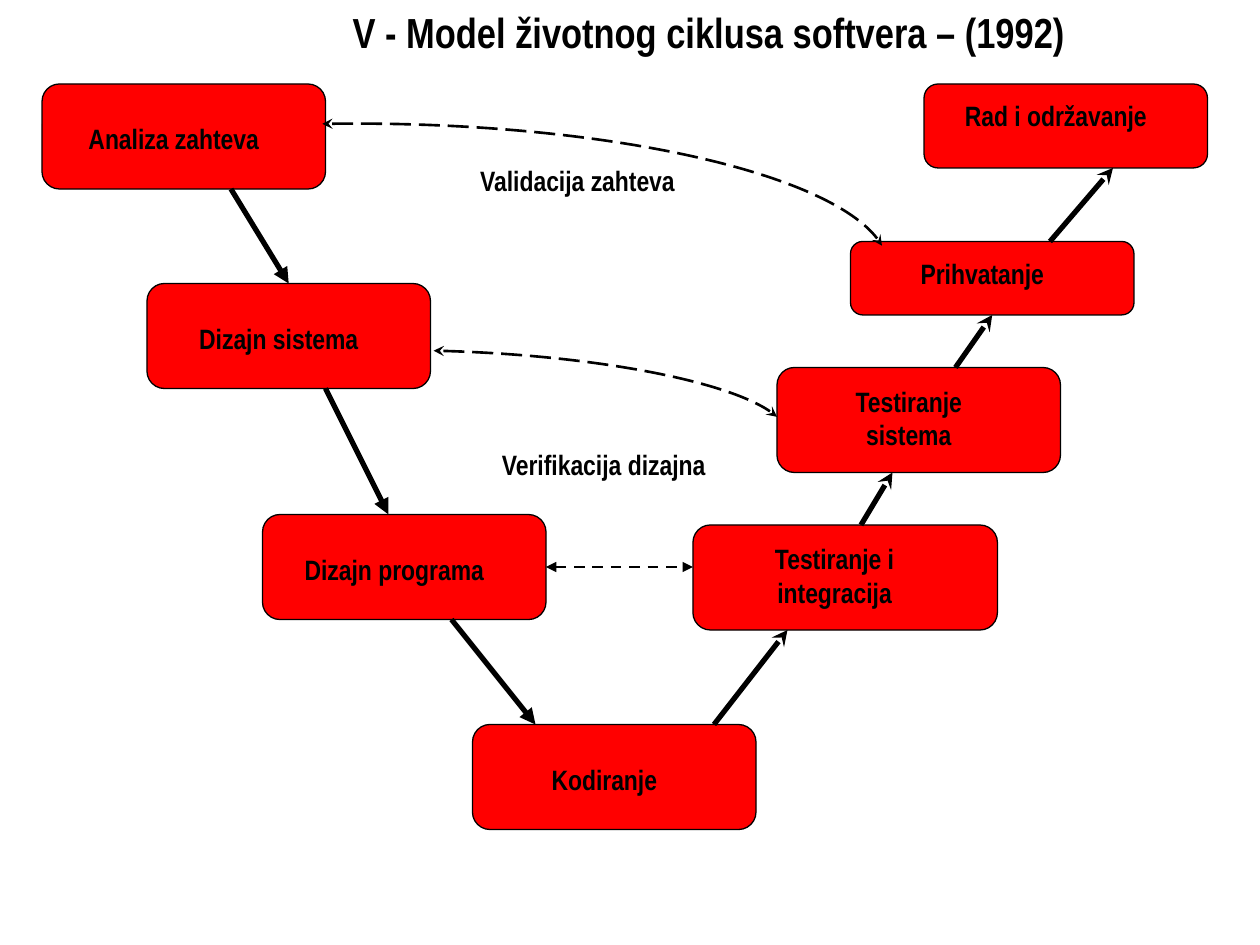
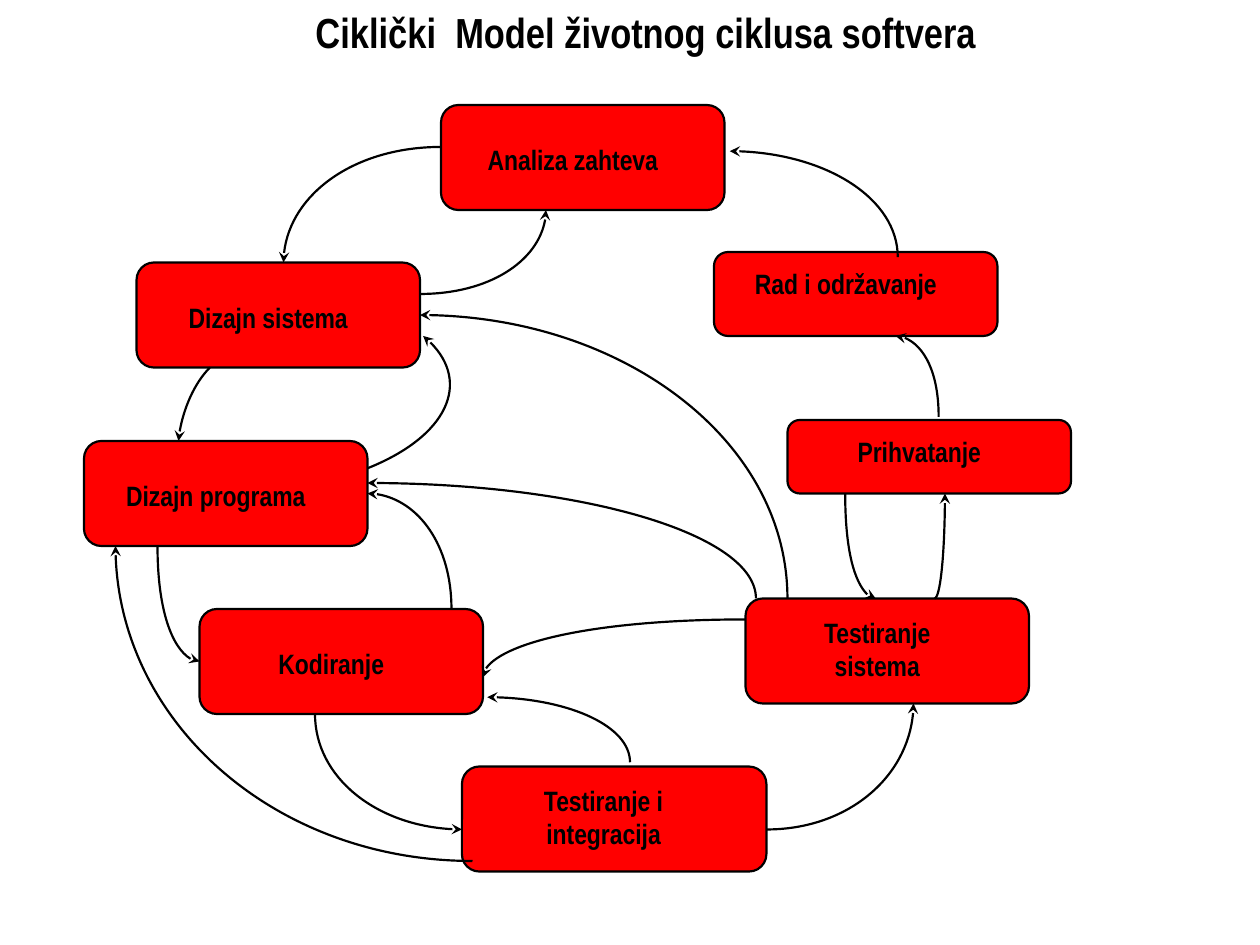
"""Build two slides on software life cycle models: the V model and the cyclic model."""
from collections import namedtuple
from dataclasses import dataclass
from math import dist

from lxml.etree import SubElement
from pptx import Presentation
from pptx.dml.color import RGBColor
from pptx.enum.dml import MSO_LINE
from pptx.enum.shapes import MSO_CONNECTOR, MSO_SHAPE
from pptx.enum.text import MSO_ANCHOR, MSO_AUTO_SIZE, PP_ALIGN
from pptx.oxml.ns import qn
from pptx.util import Cm, Pt


@dataclass(frozen=True)
class Theme:
    ink: RGBColor = RGBColor.from_string("000000")
    box: RGBColor = RGBColor.from_string("FF0000")
    font: str = "Arial Narrow"
    title_size: int = 24
    label_size: int = 16


Stage = namedtuple("Stage", "width height text_drop lines")
ArrowStyle = namedtuple("ArrowStyle", "width dash head tail")

THEME = Theme()
GRID = Cm(25.4) / 120
LINE_HEIGHT = 4
ROUNDNESS = 0.55

SINGLE = Stage(27, 10, 3, 1)
DOUBLE = SINGLE._replace(text_drop=1, lines=2)
LOW = SINGLE._replace(height=8, text_drop=0.8)
STAGES = {
    "Analiza zahteva": SINGLE,
    "Dizajn sistema": SINGLE,
    "Dizajn programa": SINGLE,
    "Kodiranje": SINGLE,
    "Testiranje i integracija": DOUBLE._replace(width=29),
    "Testiranje sistema": DOUBLE,
    "Prihvatanje": LOW._replace(height=7),
    "Rad i održavanje": LOW,
}
TURNING_STAGE = list(STAGES).index("Kodiranje")

FEEDBACK = ArrowStyle(1.5, MSO_LINE.LONG_DASH, "stealth", "stealth")
CHECK = ArrowStyle(1.5, MSO_LINE.DASH, "triangle", "triangle")
DESCENT = ArrowStyle(3, MSO_LINE.SOLID, "none", "triangle")
ASCENT = DESCENT._replace(tail="stealth")
CYCLE = ArrowStyle(1.25, MSO_LINE.SOLID, "none", "stealth")

V_MODEL = {
    "title": "V - Model životnog ciklusa softvera – (1992)",
    "title_left": 17,
    "outline": 0.75,
    "corners": [(4, 8), (14, 27), (25, 49), (45, 69),
                (66, 50), (74, 35), (81, 23), (88, 8)],
    "labels": {"Verifikacija dizajna": (45, 42, 25), "Validacija zahteva": (44, 15, 22)},
    "steps": [(22, 27), (31, 37), (43, 51), (68, 75), (82, 85), (91, 95), (100, 106)],
    "checks": [((52, 54), (66, 54))],
    "curve_style": FEEDBACK,
    "sideways": [],
    "upright": [],
    "bent": [((30.7, 11.8), (77, 11), (84, 23.4)), ((41.3, 33.4), (68, 34), (74, 39.7))],
}
CYCLIC_MODEL = {
    "title": "Ciklički  Model životnog ciklusa softvera",
    "title_left": 11,
    "outline": 1.25,
    "corners": [(42, 10), (13, 25), (8, 42), (19, 58),
                (44, 73), (71, 57), (75, 40), (68, 24)],
    "labels": {},
    "steps": [],
    "checks": [],
    "curve_style": CYCLE,
    "sideways": [((42, 14), (27, 25)), ((73, 79), (87, 67)), ((40, 28), (52, 20)),
                 ((71, 59), (46, 64.5)), ((45, 82), (11, 52)), ((89, 57), (90, 47))],
    "upright": [((85.5, 24.5), (69.5, 14.4)), ((15, 52), (19, 63)), ((30, 68), (44, 79)),
                ((89.4, 39.7), (85.3, 32)), ((43, 58), (35, 47)), ((60, 72.6), (46.4, 66.4)),
                ((72, 57), (35, 46)), ((75, 57), (40, 30)), ((80.5, 47), (83.4, 57))],
    "bent": [((20, 35), (17.3, 37.7), (17, 42)), ((35, 44.6), (49, 39), (40.3, 32))],
}


def on_grid(*values):
    return tuple(round(value * GRID) for value in values)


def write_text(text_frame, text, size, anchor=MSO_ANCHOR.TOP):
    text_frame.word_wrap = True
    text_frame.auto_size = MSO_AUTO_SIZE.NONE
    text_frame.vertical_anchor = anchor
    paragraph = text_frame.paragraphs[0]
    paragraph.alignment = PP_ALIGN.CENTER
    run = paragraph.add_run()
    run.text = text
    run.font.name = THEME.font
    run.font.size = Pt(size)
    run.font.bold = True
    run.font.color.rgb = THEME.ink


presentation = Presentation()
presentation.slide_width = Cm(25.4)
presentation.slide_height = Cm(19.05)

for content in (V_MODEL, CYCLIC_MODEL):
    slide = presentation.slides.add_slide(presentation.slide_layouts[0])
    subtitle = slide.placeholders[1].element
    subtitle.getparent().remove(subtitle)
    title = slide.shapes.title
    title.left, title.top, title.width, title.height = on_grid(content["title_left"], 0, 101, 6)
    write_text(title.text_frame, content["title"], THEME.title_size, MSO_ANCHOR.BOTTOM)

    joints = []
    spans = []
    for (name, stage), (left, top) in zip(STAGES.items(), content["corners"]):
        width, height = stage.width, stage.height
        right, bottom = left + width, top + height
        center, middle = left + width / 2, top + height / 2
        group = slide.shapes.add_group_shape()
        box = group.shapes.add_shape(MSO_SHAPE.ROUNDED_RECTANGLE, *on_grid(left, top, width, height))
        box.shadow.inherit = False
        box.fill.solid()
        box.fill.fore_color.rgb = THEME.box
        box.line.color.rgb = THEME.ink
        box.line.width = Pt(content["outline"])
        caption = group.shapes.add_textbox(*on_grid(
            left + 0.1 * width, top + stage.text_drop, 0.73 * width, stage.lines * LINE_HEIGHT))
        write_text(caption.text_frame, name, THEME.label_size)
        sides = [(center, top), (left, middle), (center, bottom), (right, middle)]
        joints += [(point, box, side) for side, point in enumerate(sides)]
        spans.append((top, bottom))

    for text, (left, top, width) in content["labels"].items():
        label = slide.shapes.add_textbox(*on_grid(left, top, width, LINE_HEIGHT))
        write_text(label.text_frame, text, THEME.label_size)

    routes = [(CHECK, ends) for ends in content["checks"]]
    for index, (start_x, end_x) in enumerate(content["steps"]):
        (top, bottom), (next_top, next_bottom) = spans[index:index + 2]
        if index < TURNING_STAGE:
            routes.append((DESCENT, ((start_x, bottom), (end_x, next_top))))
        else:
            routes.append((ASCENT, ((start_x, top), (end_x, next_bottom))))
    curves = [(start, (end[0], start[1]), end) for start, end in content["sideways"]]
    curves += [(start, (start[0], end[1]), end) for start, end in content["upright"]]
    curves += content["bent"]
    routes += [(content["curve_style"], curve) for curve in curves]

    for style, route in routes:
        start, end = route[0], route[-1]
        if len(route) == 2:
            arrow = slide.shapes.add_connector(MSO_CONNECTOR.STRAIGHT, *on_grid(*start, *end))
            for point, box, side in joints:
                if dist(point, start) < 0.6:
                    arrow.begin_connect(box, side)
                if dist(point, end) < 0.6:
                    arrow.end_connect(box, side)
        else:
            corner = route[1]
            handles = [[a + ROUNDNESS * (b - a) for a, b in zip(tip, corner)] for tip in (start, end)]
            builder = slide.shapes.build_freeform(*on_grid(*start))
            builder.add_line_segments([on_grid(*point) for point in (*handles, end)], close=False)
            arrow = builder.convert_to_shape()
            arrow.fill.background()
            outline = arrow.element.find(".//" + qn("a:path"))
            outline.set("fill", "none")
            segments = outline.findall(qn("a:lnTo"))
            bezier = SubElement(outline, qn("a:cubicBezTo"))
            for segment in segments:
                bezier.append(segment[0])
                outline.remove(segment)
        arrow.line.color.rgb = THEME.ink
        arrow.line.width = Pt(style.width)
        arrow.line.dash_style = style.dash
        properties = arrow.element.spPr
        line = properties.find(qn("a:ln"))
        SubElement(line, qn("a:headEnd"), type=style.head)
        SubElement(line, qn("a:tailEnd"), type=style.tail)
        SubElement(properties, qn("a:effectLst"))

presentation.save("out.pptx")
